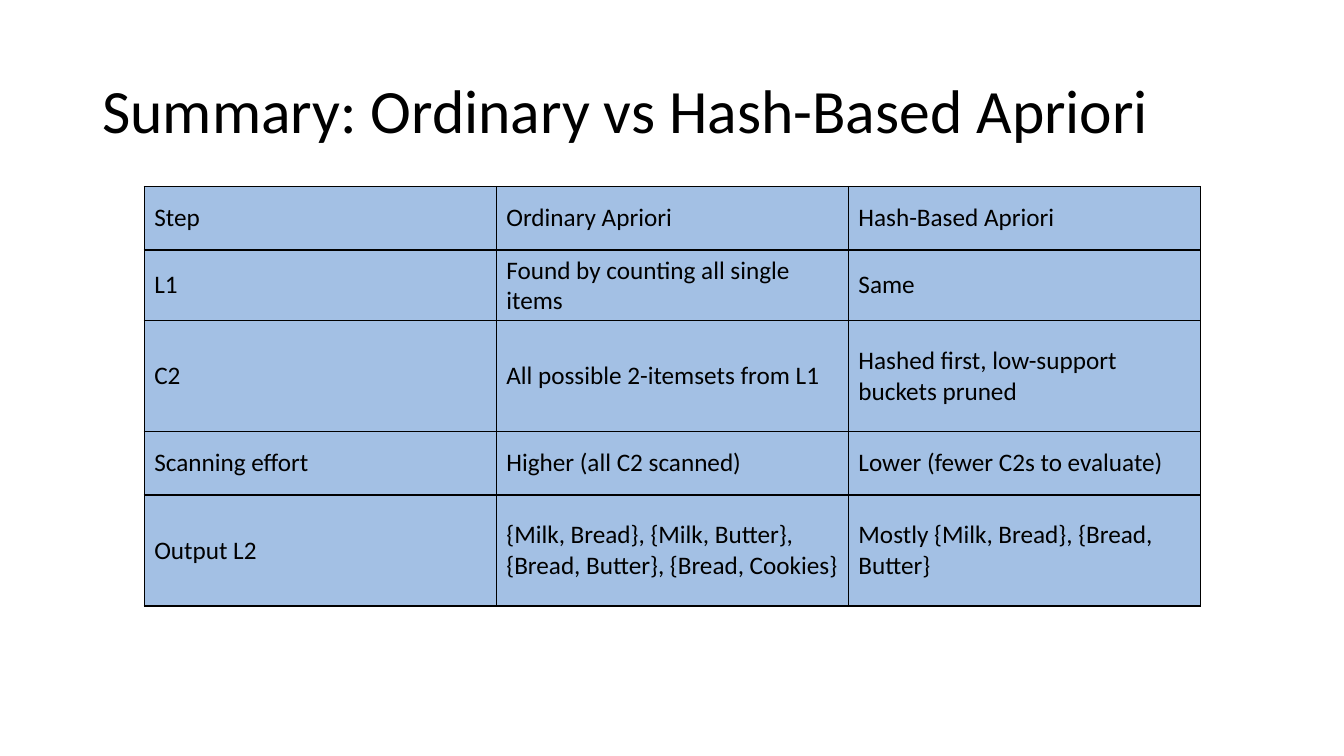
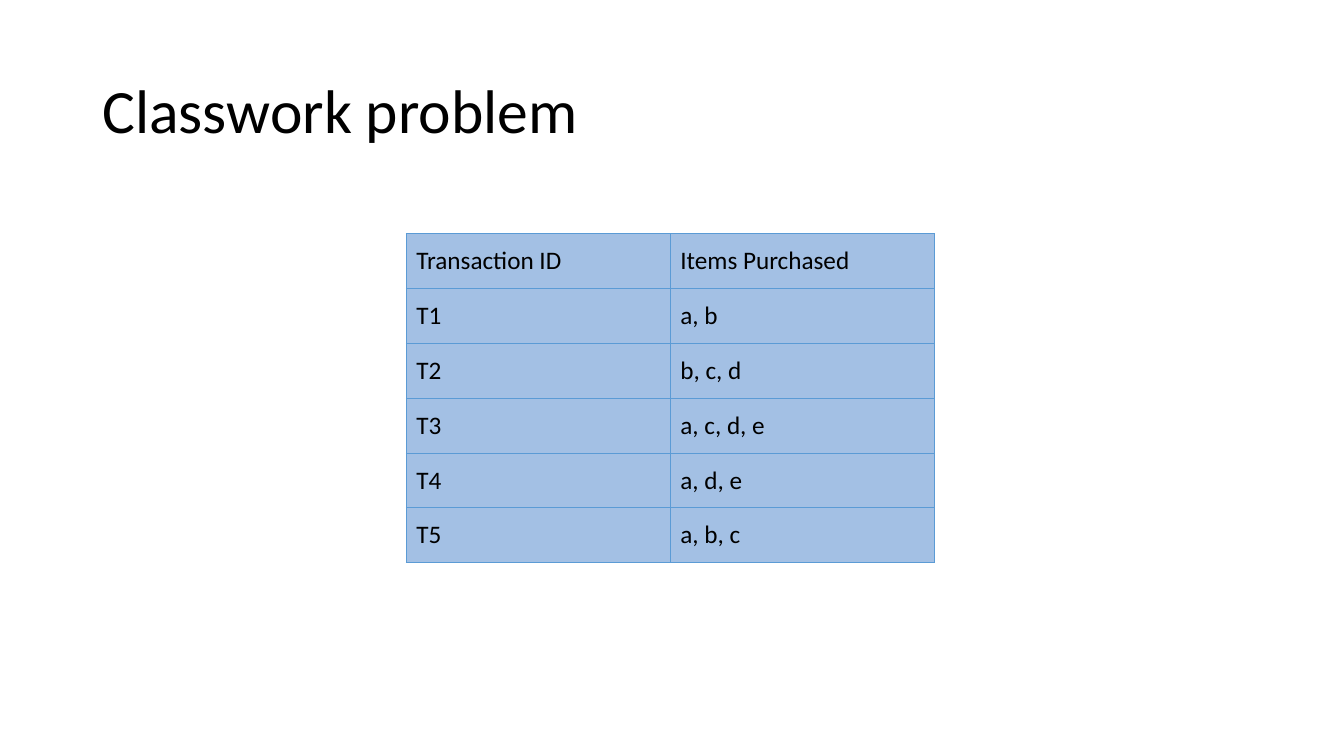
from dataclasses import dataclass

from lxml.etree import SubElement
from pptx import Presentation
from pptx.dml.color import RGBColor
from pptx.enum.text import MSO_ANCHOR
from pptx.oxml.ns import qn
from pptx.slide import Slide
from pptx.table import _Cell
from pptx.text.text import TextFrame
from pptx.util import Pt

FONT = "Calibri"
BLACK = "000000"
BLUE = "5B9BD5"
PALE = "A3C0E4"


@dataclass
class Grid:
    title: str
    left: float
    top: float
    width: float
    heights: list[float]
    rows: list[list[str]]
    edge: str
    line: float


GRIDS = [
    Grid(
        "Summary: Ordinary vs Hash-Based Apriori",
        103, 133.2, 251.5, [45.4, 45.4, 79.2, 45.4, 79.2],
        [
            ["Step", "Ordinary Apriori", "Hash-Based Apriori"],
            ["L1", "Found by counting all single items", "Same"],
            ["C2", "All possible 2-itemsets from L1",
             "Hashed first, low-support buckets pruned"],
            ["Scanning effort", "Higher (all C2 scanned)",
             "Lower (fewer C2s to evaluate)"],
            ["Output L2",
             "{Milk, Bread}, {Milk, Butter}, {Bread, Butter}, {Bread, Cookies}",
             "Mostly {Milk, Bread}, {Bread, Butter}"],
        ],
        BLACK, 1,
    ),
    Grid(
        "Classwork problem",
        290.2, 167, 188.6, [39.15] * 6,
        [
            ["Transaction ID", "Items Purchased"],
            ["T1", "a, b"],
            ["T2", "b, c, d"],
            ["T3", "a, c, d, e"],
            ["T4", "a, d, e"],
            ["T5", "a, b, c"],
        ],
        BLUE, 0.5,
    ),
]


def color(code: str) -> RGBColor:
    return RGBColor.from_string(code)


def write(frame: TextFrame, text: str, *, size: float = 18,
          ink: str = BLACK, space: float = 1) -> None:
    frame.word_wrap = True
    para = frame.paragraphs[0]
    para.line_spacing = space
    run = para.add_run()
    run.text = text
    run.font.name = FONT
    run.font.size = Pt(size)
    run.font.color.rgb = color(ink)


def border(cell: _Cell, edge: str, width: float) -> None:
    props = cell._tc.get_or_add_tcPr()
    for index, side in enumerate(("lnL", "lnR", "lnT", "lnB")):
        line = SubElement(props, qn(f"a:{side}"), w=str(int(Pt(width))))
        fill = SubElement(line, qn("a:solidFill"))
        SubElement(fill, qn("a:srgbClr"), val=edge)
        props.insert(index, line)


def add_title(slide: Slide, text: str) -> None:
    box = slide.shapes.add_textbox(Pt(66), Pt(28.8), Pt(828), Pt(104.4))
    box.text_frame.vertical_anchor = MSO_ANCHOR.MIDDLE
    write(box.text_frame, text, size=44, space=0.9)


def add_grid(slide: Slide, grid: Grid) -> None:
    count = len(grid.rows[0])
    table = slide.shapes.add_table(
        len(grid.rows), count, Pt(grid.left), Pt(grid.top),
        Pt(grid.width * count), Pt(sum(grid.heights))).table
    table.first_row = False
    table.horz_banding = False
    for column in table.columns:
        column.width = Pt(grid.width)
    for row, height, texts in zip(table.rows, grid.heights, grid.rows):
        row.height = Pt(height)
        for cell, text in zip(row.cells, texts):
            cell.fill.solid()
            cell.fill.fore_color.rgb = color(PALE)
            cell.vertical_anchor = MSO_ANCHOR.MIDDLE
            border(cell, grid.edge, grid.line)
            write(cell.text_frame, text)


def main() -> None:
    deck = Presentation()
    deck.slide_width = Pt(960)
    deck.slide_height = Pt(540)
    for grid in GRIDS:
        slide = deck.slides.add_slide(deck.slide_layouts[6])
        add_title(slide, grid.title)
        add_grid(slide, grid)
    deck.save("out.pptx")


if __name__ == "__main__":
    main()
